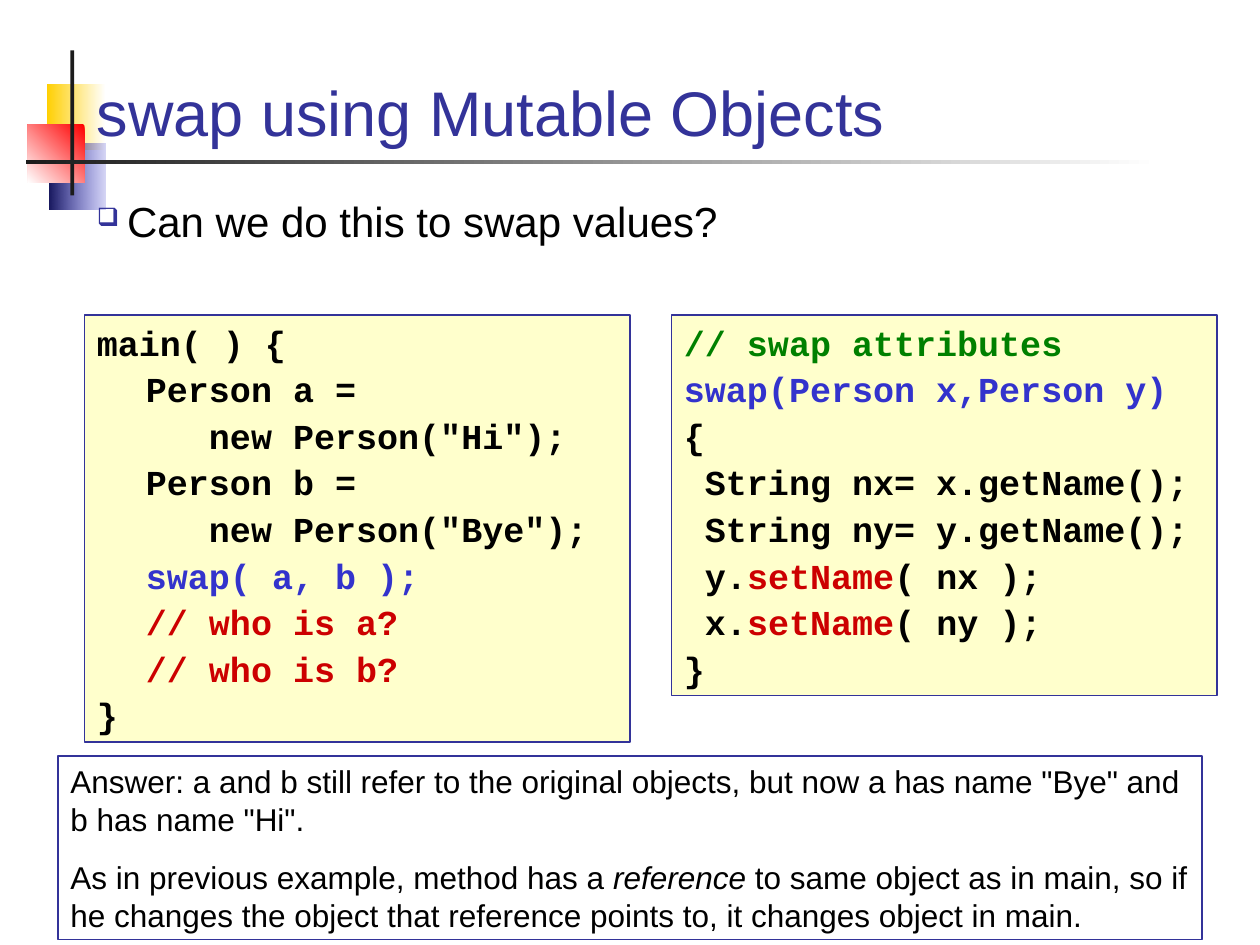
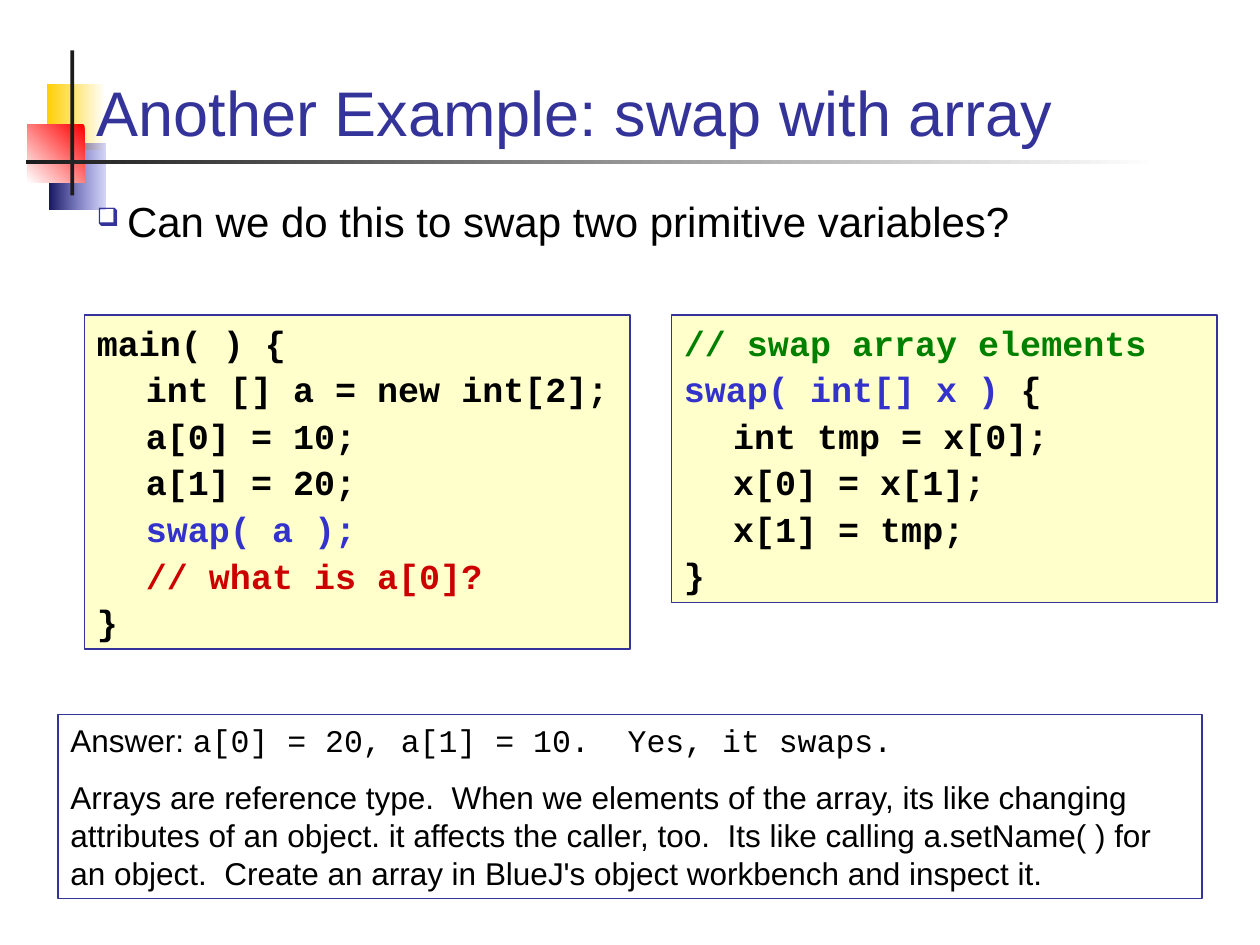
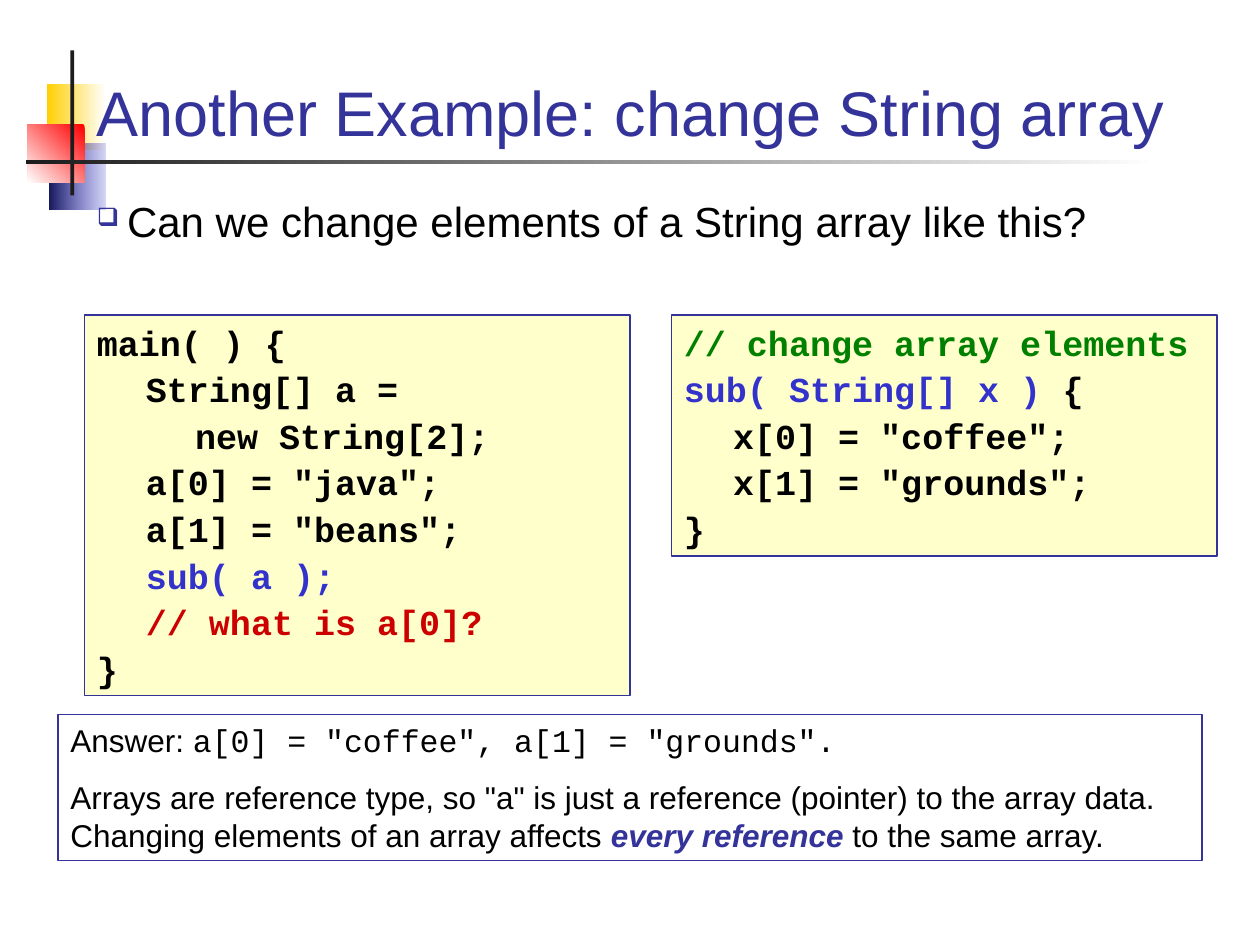
from dataclasses import dataclass

from lxml import etree
from pptx import Presentation
from pptx.dml.color import RGBColor
from pptx.enum.shapes import MSO_SHAPE
from pptx.enum.text import MSO_ANCHOR, MSO_AUTO_SIZE, PP_ALIGN
from pptx.oxml.ns import qn
from pptx.util import Inches, Pt

RECT = MSO_SHAPE.RECTANGLE
TOP, BOTTOM = MSO_ANCHOR.TOP, MSO_ANCHOR.BOTTOM
GROW, LEFT = MSO_AUTO_SIZE.SHAPE_TO_FIT_TEXT, PP_ALIGN.LEFT


@dataclass(frozen=True)
class Theme:
    text: RGBColor = RGBColor.from_string("000000")
    white: RGBColor = RGBColor.from_string("FFFFFF")
    accent: RGBColor = RGBColor.from_string("333399")
    blue: RGBColor = RGBColor.from_string("3333CC")
    navy: RGBColor = RGBColor.from_string("17175E")
    red: RGBColor = RGBColor.from_string("CC0000")
    bright_red: RGBColor = RGBColor.from_string("FF0000")
    green: RGBColor = RGBColor.from_string("008000")
    yellow: RGBColor = RGBColor.from_string("FFCF01")
    cream: RGBColor = RGBColor.from_string("FFFFCC")
    rule: RGBColor = RGBColor.from_string("1C1C1C")
    sans: str = "Arial"
    mono: str = "Courier New"
    title_size: int = 36
    question_size: int = 24
    code_size: int = 20
    answer_size: int = 18
    line_ratio: float = 1.205
    code_gap: float = 2.5
    answer_gap: float = 11.2
    border: float = 0.75
    tab: float = 0.39


T = Theme()
STYLES = {
    "plain": {},
    "call": {"color": T.blue},
    "ask": {"color": T.red},
    "comment": {"color": T.green},
    "mono": {"font": T.mono},
    "em": {"italic": True},
    "key": {"color": T.accent, "bold": True, "italic": True},
}


def add_rect(slide, box, fill=None, line=None):
    s = slide.shapes.add_shape(RECT, *map(Inches, box))
    s.shadow.inherit = False
    if fill is None:
        s.fill.background()
    else:
        s.fill.solid()
        s.fill.fore_color.rgb = fill
    if line is None:
        s.line.fill.background()
    else:
        s.line.color.rgb = line
        s.line.width = Pt(T.border)
    return s


def add_gradient(slide, box, start, end, angle=180, start_alpha=None):
    s = add_rect(slide, box)
    s.fill.gradient()
    s.fill.gradient_angle = angle
    for stop, color, position in zip(s.fill.gradient_stops, (start, end), (0, 1)):
        stop.color.rgb = color
        stop.position = position
    if start_alpha is not None:
        clr = s.element.spPr.find(".//" + qn("a:srgbClr"))
        etree.SubElement(clr, qn("a:alpha"), val=str(start_alpha * 1000))


def add_master_art(slide):
    add_gradient(slide, (0.37, 0.67, 0.47, 0.52), T.white, T.yellow)
    add_gradient(slide, (0.39, 1.14, 0.45, 0.52), T.blue, T.navy, start_alpha=20)
    add_gradient(slide, (0.22, 0.99, 0.45, 0.46), T.bright_red, T.white, angle=225)
    add_rect(slide, (0.56, 0.4, 0.03, 1.15), T.rule)
    add_gradient(slide, (0.21, 1.27, 8.99, 0.03), T.white, T.rule)


def add_tabs(p):
    tabs = etree.SubElement(p._p.get_or_add_pPr(), qn("a:tabLst"))
    for n in range(1, 8):
        etree.SubElement(tabs, qn("a:tab"), pos=str(Inches(n * T.tab)), algn="l")


def add_bullet(p):
    pPr = p._p.get_or_add_pPr()
    pPr.set("marL", str(Inches(0.24)))
    pPr.set("indent", str(-Inches(0.24)))
    clr = etree.SubElement(pPr, qn("a:buClr"))
    etree.SubElement(clr, qn("a:srgbClr"), val=str(T.accent))
    etree.SubElement(pPr, qn("a:buSzPct"), val="60000")
    etree.SubElement(pPr, qn("a:buChar"), char="❑")


def add_spans(p, spans, size, font, color, bold):
    for span in [spans] if isinstance(spans, str) else spans:
        text, style = (span, "plain") if isinstance(span, str) else span
        look = STYLES[style]
        r = p.add_run()
        r.text = text
        r.font.size = Pt(size)
        r.font.name = look.get("font", font)
        r.font.color.rgb = look.get("color", color)
        r.font.bold = look.get("bold", bold)
        r.font.italic = look.get("italic", False)


def fill_text(s, lines, size, font=T.sans, color=T.text, bold=False,
              gap=0, anchor=TOP, bullet=False, tabs=False):
    tf = s.text_frame
    tf.word_wrap = True
    tf.vertical_anchor = anchor
    for n, spans in enumerate(lines):
        p = tf.add_paragraph() if n else tf.paragraphs[0]
        if bullet:
            add_bullet(p)
        if tabs:
            add_tabs(p)
        p.alignment = LEFT
        p.line_spacing = Pt(size * T.line_ratio)
        if n:
            p.space_before = Pt(gap)
        add_spans(p, spans, size, font, color, bold)
    return tf


def add_title(slide, text, width):
    s = slide.shapes.add_textbox(*map(Inches, (0.67, 0.28, width, 0.95)))
    fill_text(s, [text], T.title_size, color=T.accent, anchor=BOTTOM)


def add_question(slide, text):
    s = slide.shapes.add_textbox(*map(Inches, (0.67, 1.5, 8.66, 0.92)))
    fill_text(s, [text], T.question_size, bullet=True)


def add_code(slide, left, lines):
    count = len(lines)
    points = count * T.code_size * T.line_ratio + (count - 1) * T.code_gap
    s = add_rect(slide, (left, 2.5, 4.33, 0.1 + points / 72), T.cream, T.accent)
    tf = fill_text(s, lines, T.code_size, T.mono, bold=True, gap=T.code_gap, tabs=True)
    tf.auto_size = GROW


def add_answer(slide, top, height, paragraphs):
    s = add_rect(slide, (0.46, top, 9.08, height), line=T.accent)
    tf = fill_text(s, paragraphs, T.answer_size, gap=T.answer_gap)
    tf.auto_size = GROW


def add_example(prs, title, question, caller, method, answer,
                answer_top=5.67, answer_height=1.46, title_width=8.66):
    slide = prs.slides.add_slide(prs.slide_layouts[6])
    add_master_art(slide)
    add_title(slide, title, title_width)
    add_question(slide, question)
    add_code(slide, 0.67, caller)
    add_code(slide, 5.33, method)
    add_answer(slide, answer_top, answer_height, answer)


def main():
    prs = Presentation()
    prs.slide_width, prs.slide_height = Inches(10), Inches(7.5)

    add_example(
        prs, "swap using Mutable Objects", "Can we do this to swap values?",
        caller=[
            "main( ) {",
            "\tPerson a =",
            '\t   new Person("Hi");',
            "\tPerson b =",
            '\t   new Person("Bye");',
            ["\t", ("swap( a, b );", "call")],
            ["\t", ("// who is a?", "ask")],
            ["\t", ("// who is b?", "ask")],
            "}",
        ],
        method=[
            [("// swap attributes", "comment")],
            [("swap(Person x,Person y)", "call")],
            "{",
            " String nx= x.getName();",
            " String ny= y.getName();",
            [" y.", ("setName", "ask"), "( nx );"],
            [" x.", ("setName", "ask"), "( ny );"],
            "}",
        ],
        answer=[
            "Answer: a and b still refer to the original objects, but now a has "
            'name "Bye" and b has name "Hi".',
            ["As in previous example, method has a ", ("reference", "em"),
             " to same object as in main, so if he changes the object that "
             "reference points to, it changes object in main."],
        ],
        answer_top=6,
    )

    add_example(
        prs, "Another Example: swap with array",
        "Can we do this to swap two primitive variables?",
        caller=[
            "main( ) {",
            "\tint [] a = new int[2];",
            "\ta[0] = 10;",
            "\ta[1] = 20;",
            ["\t", ("swap( a );", "call")],
            ["\t", ("// what is a[0]?", "ask")],
            "}",
        ],
        method=[
            [("// swap array elements", "comment")],
            [("swap( int[] x )", "call"), " {"],
            "\tint tmp = x[0];",
            "\tx[0] = x[1];",
            "\tx[1] = tmp;",
            "}",
        ],
        answer=[
            ["Answer: ", ("a[0] = 20, a[1] = 10.  Yes, it swaps.", "mono")],
            "Arrays are reference type.  When we elements of the array, its like "
            "changing attributes of an object. it affects the caller, too.  Its "
            "like calling a.setName( ) for an object.  Create an array in BlueJ's "
            "object workbench and inspect it.",
        ],
    )

    add_example(
        prs, "Another Example: change String array",
        "Can we change elements of a String array like this?",
        caller=[
            "main( ) {",
            "\tString[] a =",
            "\t\tnew String[2];",
            '\ta[0] = "java";',
            '\ta[1] = "beans";',
            ["\t", ("sub( a );", "call")],
            ["\t", ("// what is a[0]?", "ask")],
            "}",
        ],
        method=[
            [("// change array elements", "comment")],
            [("sub( String[] x )", "call"), " {"],
            '\tx[0] = "coffee";',
            '\tx[1] = "grounds";',
            "}",
        ],
        answer=[
            ["Answer: ", ('a[0] = "coffee", a[1] = "grounds".', "mono")],
            ['Arrays are reference type, so "a" is just a reference (pointer) to '
             "the array data.  Changing elements of an array affects ",
             ("every reference", "key"), " to the same array."],
        ],
        answer_height=1.16, title_width=9.16,
    )

    prs.save("out.pptx")


if __name__ == "__main__":
    main()
